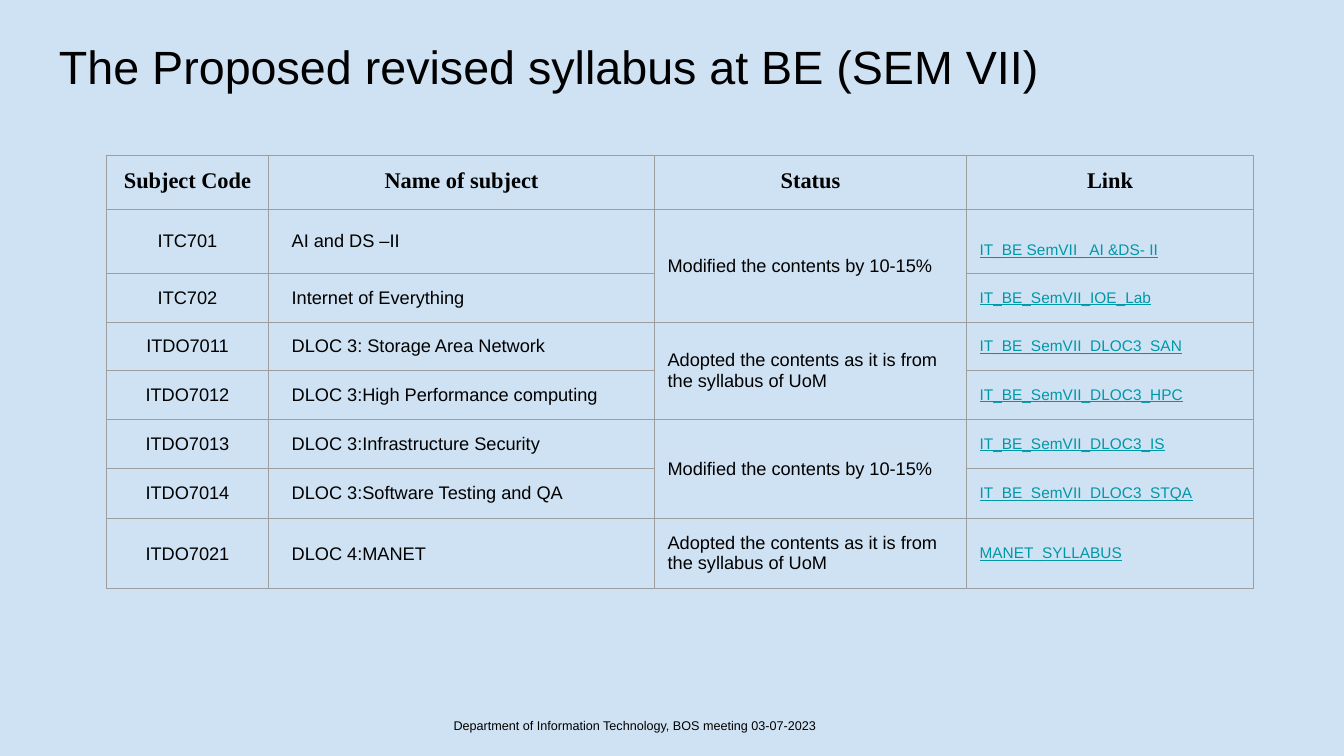
from dataclasses import dataclass
from typing import Any

from lxml.etree import SubElement
from pptx import Presentation
from pptx.dml.color import RGBColor
from pptx.enum.text import MSO_ANCHOR, PP_ALIGN
from pptx.oxml.ns import qn
from pptx.util import Pt

INSET = 9.36
BLACK = "000000"
LINK_TEAL = "0097A7"
GRID_GREY = "9E9E9E"
COLUMN_WIDTHS = [115.8, 275.75, 222.85, 205.1]
HEADER_HEIGHT = 38.6
HEADINGS = ["Subject Code", "Name of subject", "Status", "Link"]
MODIFIED = "Modified the contents by 10-15%"
ADOPTED = "Adopted the contents as it is from the syllabus of UoM"


@dataclass
class Subject:
    code: str
    name: str
    link: str
    height: float
    status: str = ""
    status_rows: int = 1
    link_top: float = INSET
    line_spacing: float = 1.0


SUBJECTS = [
    Subject("ITC701", "AI and DS –II", "IT_BE SemVII_ AI &DS- II", 45.7,
            MODIFIED, 2, link_top=22),
    Subject("ITC702", "Internet of Everything", "IT_BE_SemVII_IOE_Lab", 35),
    Subject("ITDO7011", "DLOC 3: Storage Area Network",
            "IT_BE_SemVII_DLOC3_SAN", 34.3, ADOPTED, 2),
    Subject("ITDO7012", "DLOC 3:High Performance computing",
            "IT_BE_SemVII_DLOC3_HPC", 35),
    Subject("ITDO7013", "DLOC 3:Infrastructure Security",
            "IT_BE_SemVII_DLOC3_IS", 35, MODIFIED, 2),
    Subject("ITDO7014", "DLOC 3:Software Testing and QA",
            "IT_BE_SemVII_DLOC3_STQA", 35.7),
    Subject("ITDO7021", "DLOC 4:MANET", "MANET_SYLLABUS", 50, ADOPTED,
            line_spacing=1.07),
]


def paint(color_format: Any, color: str) -> None:
    color_format.rgb = RGBColor.from_string(color)


def write(frame: Any, text: str, *, size: float = 13, font: str = "Arial",
          color: str = BLACK, bold: bool = False, underline: bool = False,
          align: PP_ALIGN = PP_ALIGN.LEFT, indent: float = 0,
          line_spacing: float = 1.0) -> None:
    paragraph = frame.paragraphs[0]
    paragraph.alignment = align
    paragraph.line_spacing = line_spacing
    if indent:
        properties = paragraph._p.get_or_add_pPr()
        properties.set("marL", str(Pt(indent)))
        properties.set("indent", "0")
    run = paragraph.add_run()
    run.text = text
    run.font.size = Pt(size)
    run.font.name = font
    run.font.bold = bold
    run.font.underline = underline
    paint(run.font.color, color)


def set_insets(holder: Any, top: float = INSET, bottom: float = INSET) -> None:
    holder.margin_left = holder.margin_right = Pt(INSET)
    holder.margin_top, holder.margin_bottom = Pt(top), Pt(bottom)


def style_cell(cell: Any) -> None:
    cell.fill.background()
    set_insets(cell)
    properties = cell._tc.get_or_add_tcPr()
    for position, side in enumerate(("lnL", "lnR", "lnT", "lnB")):
        border = SubElement(properties, qn(f"a:{side}"), w=str(Pt(0.75)))
        fill = SubElement(border, qn("a:solidFill"))
        SubElement(fill, qn("a:srgbClr"), val=GRID_GREY)
        properties.insert(position, border)


def add_syllabus(slide: Any) -> None:
    heights = [HEADER_HEIGHT] + [subject.height for subject in SUBJECTS]
    syllabus = slide.shapes.add_table(
        len(heights), len(HEADINGS), Pt(76), Pt(110.9),
        Pt(sum(COLUMN_WIDTHS)), Pt(sum(heights))).table
    syllabus.first_row = False
    syllabus.horz_banding = False
    for column, width in zip(syllabus.columns, COLUMN_WIDTHS):
        column.width = Pt(width)
    for row, height in zip(syllabus.rows, heights):
        row.height = Pt(height)
    for cell in syllabus.iter_cells():
        style_cell(cell)

    for index, heading in enumerate(HEADINGS):
        write(syllabus.cell(0, index).text_frame, heading, size=16,
              font="Times New Roman", bold=True, align=PP_ALIGN.CENTER)

    for row, subject in enumerate(SUBJECTS, start=1):
        code, name, status, link = (
            syllabus.cell(row, index) for index in range(len(HEADINGS)))
        for cell in (code, name, status, link):
            cell.vertical_anchor = MSO_ANCHOR.MIDDLE
        write(code.text_frame, subject.code, align=PP_ALIGN.CENTER,
              line_spacing=subject.line_spacing)
        write(name.text_frame, subject.name, indent=7.2,
              line_spacing=subject.line_spacing)
        if subject.status:
            if subject.status_rows > 1:
                status.merge(syllabus.cell(row + subject.status_rows - 1, 2))
            write(status.text_frame, subject.status)
        link.margin_top = Pt(subject.link_top)
        write(link.text_frame, subject.link, size=11, color=LINK_TEAL,
              underline=True)


def main() -> None:
    presentation = Presentation()
    presentation.slide_width, presentation.slide_height = Pt(960), Pt(540)
    slide = presentation.slides.add_slide(presentation.slide_layouts[5])
    slide.background.fill.solid()
    paint(slide.background.fill.fore_color, "CFE2F3")

    title = slide.shapes.title
    title.left, title.top, title.width, title.height = (
        Pt(32.7), Pt(13), Pt(894.5), Pt(52.5))
    title.text_frame.vertical_anchor = MSO_ANCHOR.TOP
    set_insets(title.text_frame, top=13.7, bottom=0)
    write(title.text_frame, "The Proposed revised syllabus at BE (SEM VII)",
          size=33.3)

    meeting = slide.shapes.add_textbox(Pt(314.6), Pt(509), Pt(331), Pt(30))
    meeting.text_frame.word_wrap = True
    set_insets(meeting.text_frame, top=6)
    write(meeting.text_frame,
          "Department of Information Technology, BOS meeting 03-07-2023",
          size=9)

    add_syllabus(slide)
    presentation.save("out.pptx")


if __name__ == "__main__":
    main()
